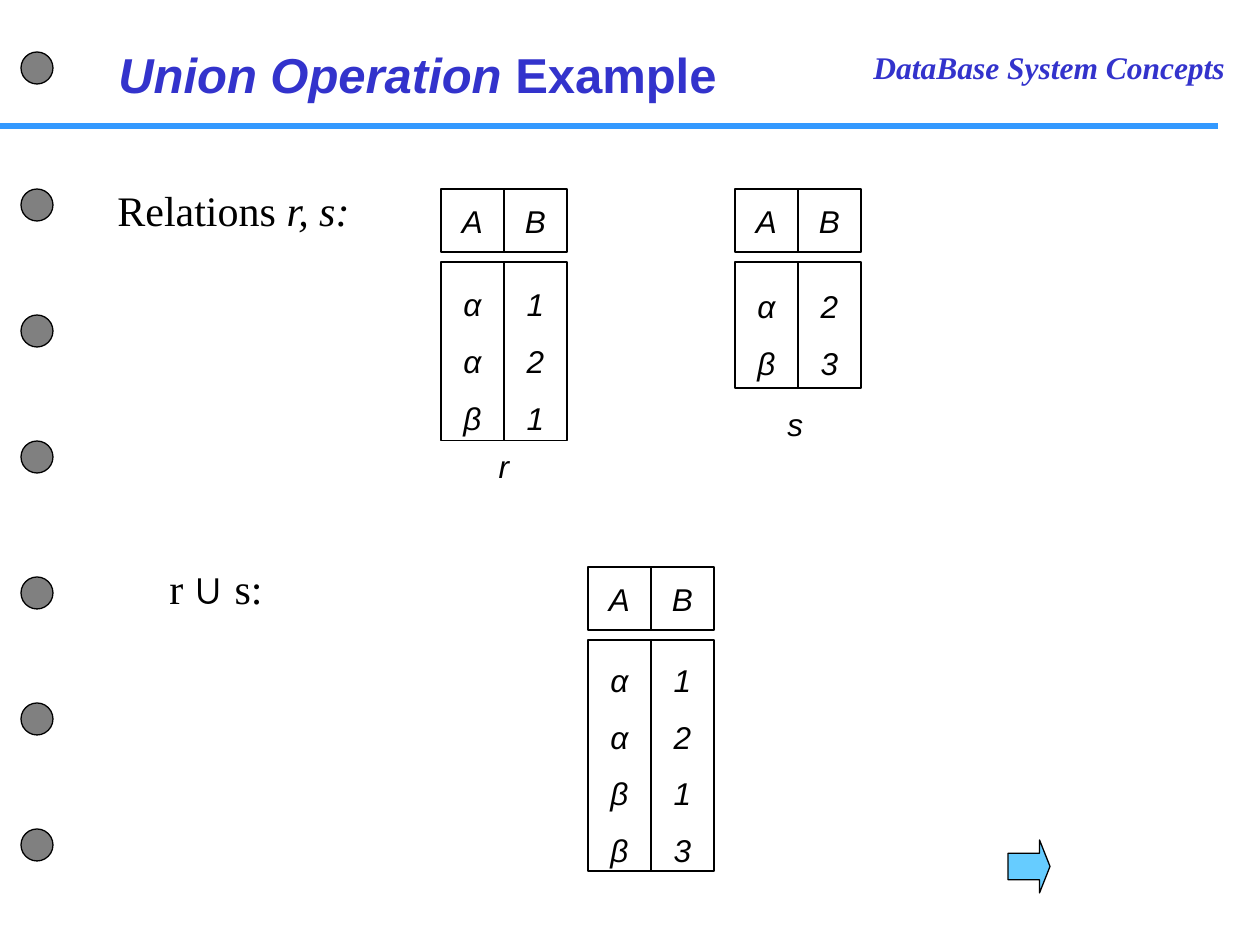
"""Build the Union Operation example slide with its three relations."""
from lxml import etree
from pptx import Presentation, util as u
from pptx.dml.color import RGBColor
from pptx.enum import shapes, text
from pptx.oxml.ns import qn

PX = 914400 // 126
BLACK = RGBColor(0, 0, 0)
WHITE = RGBColor(255, 255, 255)
GRAY = RGBColor(0x80, 0x80, 0x80)
INDIGO = RGBColor(0x33, 0x33, 0xCC)
BLUE = RGBColor(0x33, 0x99, 0xFF)
SKY = RGBColor(0x66, 0xCC, 0xFF)
SERIF = {"name": "Times New Roman", "size": u.Pt(24)}
SANS = {"name": "Arial", "size": u.Pt(18), "italic": True}

deck = Presentation()
deck.slide_width, deck.slide_height = u.Inches(10), u.Inches(7.5)
page = deck.slides.add_slide(deck.slide_layouts[6])


def add_shape(kind, place, fill):
    shape = page.shapes.add_shape(kind, *[n * PX for n in place])
    shape.shadow.inherit = False
    shape.fill.solid()
    shape.fill.fore_color.rgb = fill
    shape.line.color.rgb = BLACK
    shape.line.width = u.Pt(0.75)
    return shape


def write(box, lines, font, color=BLACK, **layout):
    frame = box.text_frame
    frame.word_wrap = layout.get("wrap", False)
    frame.vertical_anchor = layout.get("anchor", text.MSO_ANCHOR.TOP)
    for i, runs in enumerate(lines):
        para = frame.paragraphs[0] if i == 0 else frame.add_paragraph()
        para.alignment = layout.get("align", text.PP_ALIGN.LEFT)
        para.line_spacing = layout.get("spacing", 1.0)
        for words, changes in runs:
            span = para.add_run()
            span.text = words
            for name, value in {**font, **changes}.items():
                setattr(span.font, name, value)
            span.font.color.rgb = color


rule = page.shapes.add_connector(shapes.MSO_CONNECTOR.STRAIGHT, 0, 126 * PX, 1218 * PX, 126 * PX)
rule.line.color.rgb = BLUE
rule.line.width = u.Pt(3)
etree.SubElement(rule.element.spPr, qn("a:effectLst"))

for top in (52, 189, 315, 441, 577, 703, 829):
    add_shape(shapes.MSO_SHAPE.OVAL, (21, top, 32, 32), GRAY)

course = {**SERIF, "size": u.Pt(18), "bold": True, "italic": True}
title = {**SANS, "size": u.Pt(28), "bold": True}
headings = [
    ((861, 42, 399, 50), [("DataBase System Concepts", {})], course, INDIGO),
    ((106, 38, 650, 72), [("Union Operation ", {}), ("Example", {"italic": False})],
     title, INDIGO),
    ((105, 178, 347, 45), [("Relations ", {}), ("r, s:", {"italic": True})], SERIF, BLACK),
    ((157, 556, 179, 45), [("r ", {}), ("∪", {"name": "Arial"}), (" s:", {})], SERIF, BLACK),
]
for place, runs, font, color in headings:
    box = page.shapes.add_textbox(*[n * PX for n in place])
    write(box, [runs], font, color, wrap=True)

CELL, BODY_DROP = 63, 73
centered = {"anchor": text.MSO_ANCHOR.MIDDLE, "align": text.PP_ALIGN.CENTER}
relations = [
    (441, 189, 179, {"A": "ααβ", "B": "121"}),
    (735, 189, 126, {"A": "αβ", "B": "23"}),
    (588, 567, 231, {"A": "ααββ", "B": "1213"}),
]
for left, top, body_height, columns in relations:
    for i, (name, values) in enumerate(columns.items()):
        x = left + i * CELL
        header = add_shape(shapes.MSO_SHAPE.RECTANGLE, (x, top, CELL, CELL), WHITE)
        write(header, [[(name, {})]], SANS, **centered)
        body = add_shape(shapes.MSO_SHAPE.RECTANGLE, (x, top + BODY_DROP, CELL, body_height), WHITE)
        write(body, [[(value, {})] for value in values], SANS, spacing=1.5, **centered)

for name, left, top, width in (("r", 486, 441, 36), ("s", 775, 399, 40)):
    box = page.shapes.add_textbox(left * PX, top * PX, width * PX, 50 * PX)
    write(box, [[(name, {})]], SANS, **centered)

arrow = add_shape(shapes.MSO_SHAPE.RIGHT_ARROW, (1008, 840, 42, 53), SKY)
arrow.adjustments[0], arrow.adjustments[1] = 0.5, 0.25

deck.save("out.pptx")
